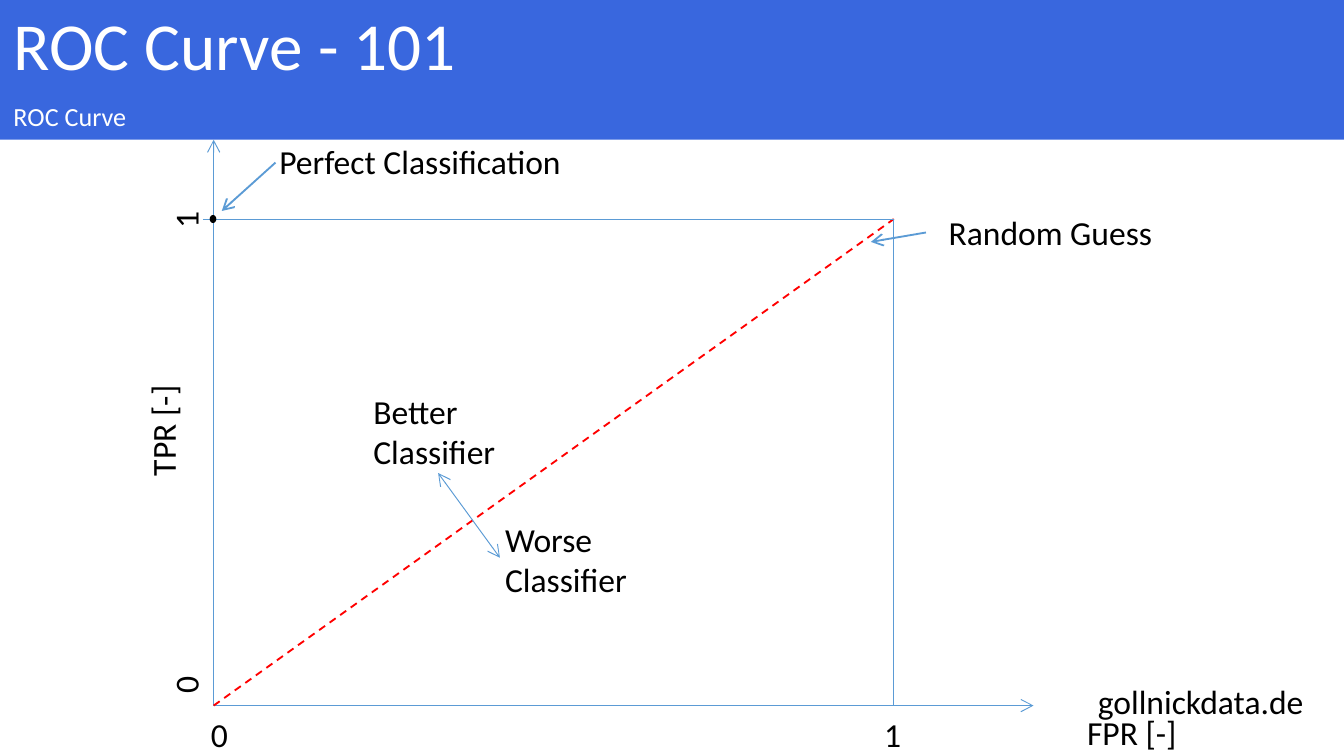
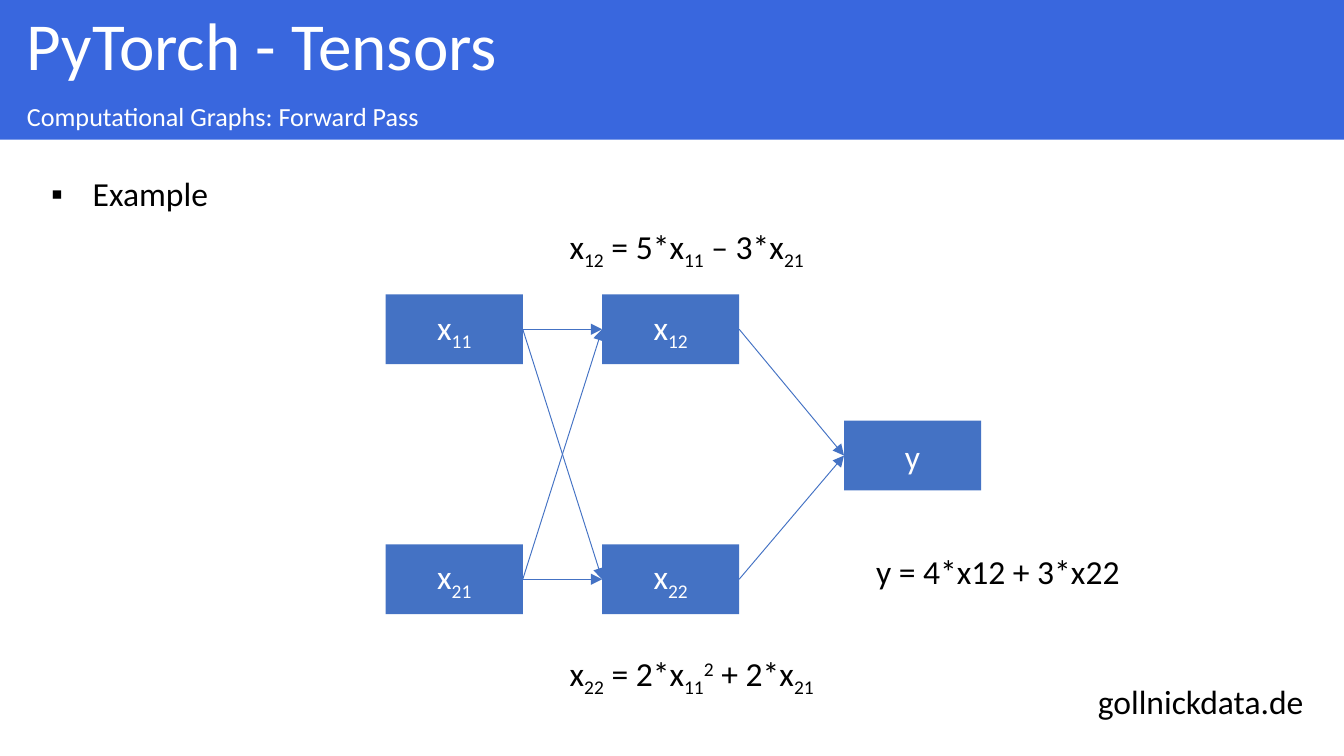
import pptx
import pptx.util
import pptx.dml.color
import pptx.enum.dml
import pptx.enum.shapes
import pptx.enum.text
import pptx.oxml
import pptx.oxml.ns
from dataclasses import dataclass
from lxml import etree

Inches = pptx.util.Inches
ANCHOR = pptx.enum.text.MSO_ANCHOR
ALIGN = pptx.enum.text.PP_ALIGN
SHAPE = pptx.enum.shapes.MSO_SHAPE


@dataclass(frozen=True)
class Theme:
    font: str = "Calibri"
    band: str = "3967DE"
    node: str = "4472C4"
    axis: str = "5B9BD5"
    guess: str = "FF0000"
    ink: str = "000000"
    paper: str = "FFFFFF"
    head: int = 36
    sub: int = 14
    text: int = 18
    thin: float = 0.5
    bold: float = 1


THEME = Theme()

# Content: in marked text, "|" splits runs, "_" lowers and "^" raises one
FOOT = "gollnickdata.de"
ROC = {"head": "ROC Curve - 101", "sub": "ROC Curve", "inset": 0.1}
GRAPH = {"head": "PyTorch - Tensors",
         "sub": "Computational Graphs: Forward Pass", "inset": 0.2}
BULLETS = ["Example"]

# Plot corners: (0, 0) and (1, 1)
LEFT, BASE = 1.59, 5.25
RIGHT, TOP = 6.65, 1.63

# Plot labels: lines, left, top, width, height, turn
LABELS = [
    (["FPR [-]"], 7.99, 5.25, 1.02, 0.4, 0),
    (["TPR [-]"], 0.71, 2.94, 1, 0.4, 270),
    (["0"], 1.21, 4.89, 0.34, 0.4, 270),
    (["1"], 1.21, 1.43, 0.34, 0.4, 270),
    (["0"], 1.47, 5.26, 0.34, 0.4, 0),
    (["1"], 6.48, 5.26, 0.34, 0.4, 0),
    (["Perfect Classification"], 1.98, 1, 2.56, 0.4, 0),
    (["Random Guess"], 6.96, 1.53, 1.96, 0.4, 0),
    (["Better", "Classifier"], 2.68, 2.86, 1.24, 0.71, 0),
    (["Worse", "Classifier"], 3.66, 3.81, 1.24, 0.71, 0),
]

# Plot lines: start, end, style
AXIS = {"tail": "arrow"}
CALL = {"tail": "arrow", "width": THEME.bold}
LINES = [
    ((LEFT, BASE), (LEFT, 1.04), AXIS),
    ((LEFT, BASE), (7.69, BASE), AXIS),
    ((LEFT, BASE), (RIGHT, TOP),
     {"color": THEME.guess, "width": THEME.bold, "dash": True}),
    ((1.51, TOP), (RIGHT, TOP), {}),
    ((RIGHT, TOP), (RIGHT, BASE), {}),
    ((2.05, 1.21), (1.65, 1.57), CALL),
    ((6.89, 1.73), (6.48, 1.8), CALL),
    ((3.26, 3.52), (3.72, 4.15), {"head": "arrow", "tail": "arrow"}),
]

# Graph nodes: name -> marked text, left, top
COLS = (2.87, 4.48, 6.28)
ROWS = (2.19, 3.13, 4.05)
NODES = {
    "x11": ("x|_11", COLS[0], ROWS[0]),
    "x12": ("x|_12", COLS[1], ROWS[0]),
    "x21": ("x|_21", COLS[0], ROWS[2]),
    "x22": ("x|_22", COLS[1], ROWS[2]),
    "y": ("y", COLS[2], ROWS[1]),
}
EDGES = [(a, b) for a in ("x11", "x21") for b in ("x12", "x22")]
EDGES += [("x12", "y"), ("x22", "y")]
SUMS = [
    ("x|_12| = 5*x|_11| – 3*x|_21", 4.14, 1.63, 2.04),
    ("x|_22| = 2*x|_11|^2| + 2*x|_21", 4.14, 4.81, 2.12),
    ("y = 4*x12 + 3*x22", 6.42, 4.05, 2.04),
]
SHIFT = {"_": "-25000", "^": "30000"}


# Helpers
def rgb(code):
    return pptx.dml.color.RGBColor.from_string(code)


def paint(shape, code):
    shape.fill.solid()
    shape.fill.fore_color.rgb = rgb(code)


def place(shape, x, y, w, h):
    shape.left, shape.top = Inches(x), Inches(y)
    shape.width, shape.height = Inches(w), Inches(h)


def write(frame, lines, size=THEME.text, color=THEME.ink, align=ALIGN.LEFT,
          bullet=None, space=1.0):
    for i, line in enumerate(lines):
        para = frame.paragraphs[0] if i == 0 else frame.add_paragraph()
        para.alignment = align
        para.line_spacing = space
        para.space_before = pptx.util.Pt(0)
        mark(para, bullet)
        for part in line.split("|"):
            run = para.add_run()
            run.text = part.lstrip("_^")
            run.font.name = THEME.font
            run.font.size = pptx.util.Pt(size)
            run.font.color.rgb = rgb(color)
            if part[0] in SHIFT:
                run.font._element.set("baseline", SHIFT[part[0]])


def mark(para, bullet):
    props = para._p.get_or_add_pPr()
    pad = Inches(0.31) if bullet else 0
    props.set("marL", str(pad))
    props.set("indent", str(-pad))
    tag = "a:buChar" if bullet else "a:buNone"
    item = etree.SubElement(props, pptx.oxml.ns.qn(tag))
    if bullet:
        item.set("char", bullet)


def label(slide, lines, x, y, w, h=0.4, turn=0, wrap=False):
    box = slide.shapes.add_textbox(*map(Inches, (x, y, w, h)))
    box.rotation = turn
    box.text_frame.word_wrap = wrap
    box.text_frame.auto_size = pptx.enum.text.MSO_AUTO_SIZE.SHAPE_TO_FIT_TEXT
    write(box.text_frame, lines)


def link(slide, start, end, color=THEME.axis, width=THEME.thin, dash=False,
         head=None, tail=None):
    kind = pptx.enum.shapes.MSO_CONNECTOR.STRAIGHT
    line = slide.shapes.add_connector(kind, *map(Inches, (*start, *end)))
    line.line.color.rgb = rgb(color)
    line.line.width = pptx.util.Pt(width)
    if dash:
        line.line.dash_style = pptx.enum.dml.MSO_LINE.DASH
    for tag, tip in (("a:headEnd", head), ("a:tailEnd", tail)):
        if tip:
            stroke = line.line._get_or_add_ln()
            etree.SubElement(stroke, pptx.oxml.ns.qn(tag)).set("type", tip)
    etree.SubElement(line._element.spPr, pptx.oxml.ns.qn("a:effectLst"))
    return line


def solid(slide, kind, code, x, y, w, h):
    shape = slide.shapes.add_shape(kind, *map(Inches, (x, y, w, h)))
    paint(shape, code)
    shape.line.fill.background()
    shape.shadow.inherit = False
    return shape


# Shared parts: footer and the two title bands, which overlap by a hair
def start(deck, layout, info):
    slide = deck.slides.add_slide(deck.slide_layouts[layout])
    label(slide, [FOOT], 8.07, 5.02, 1.89, wrap=True)
    bands = [
        (slide.shapes.title, info["head"], THEME.head, 0, 0.73),
        (slide.placeholders[1], info["sub"], THEME.sub, 0.72, 0.32),
    ]
    for band, text, size, y, h in bands:
        place(band, 0, y, 10, h)
        paint(band, THEME.band)
        frame = band.text_frame
        frame.auto_size = pptx.enum.text.MSO_AUTO_SIZE.NONE
        frame.vertical_anchor = ANCHOR.MIDDLE
        frame.margin_left = Inches(info["inset"])
        write(frame, [text], size, THEME.paper, space=0.9)
    return slide


# ROC curve
def roc(deck):
    slide = start(deck, 1, ROC)
    for a, b, style in LINES:
        link(slide, a, b, **style)
    solid(slide, SHAPE.OVAL, THEME.ink, 1.56, 1.6, 0.05, 0.06)
    for item in LABELS:
        label(slide, *item)


# Computational graph
def graph(deck):
    slide = start(deck, 3, GRAPH)
    body = slide.placeholders[2]
    place(body, 0.28, 1.24, 8.9, 0.4)
    body.text_frame.auto_size = pptx.enum.text.MSO_AUTO_SIZE.NONE
    write(body.text_frame, BULLETS, bullet="▪")

    nodes = {}
    for name, (text, x, y) in NODES.items():
        node = solid(slide, SHAPE.RECTANGLE, THEME.node, x, y, 1.02, 0.52)
        node.text_frame.vertical_anchor = ANCHOR.MIDDLE
        write(node.text_frame, [text], color=THEME.paper, align=ALIGN.CENTER)
        nodes[name] = node
    for a, b in EDGES:
        edge = link(slide, (0, 0), (1, 1), THEME.node, tail="triangle")
        edge.begin_connect(nodes[a], 3)
        edge.end_connect(nodes[b], 1)
    for text, x, y, w in SUMS:
        label(slide, [text], x, y, w)


def main():
    deck = pptx.Presentation()
    deck.slide_width = Inches(10)
    deck.slide_height = deck.slide_width * 9 // 16
    roc(deck)
    graph(deck)
    deck.save("out.pptx")


if __name__ == "__main__":
    main()
